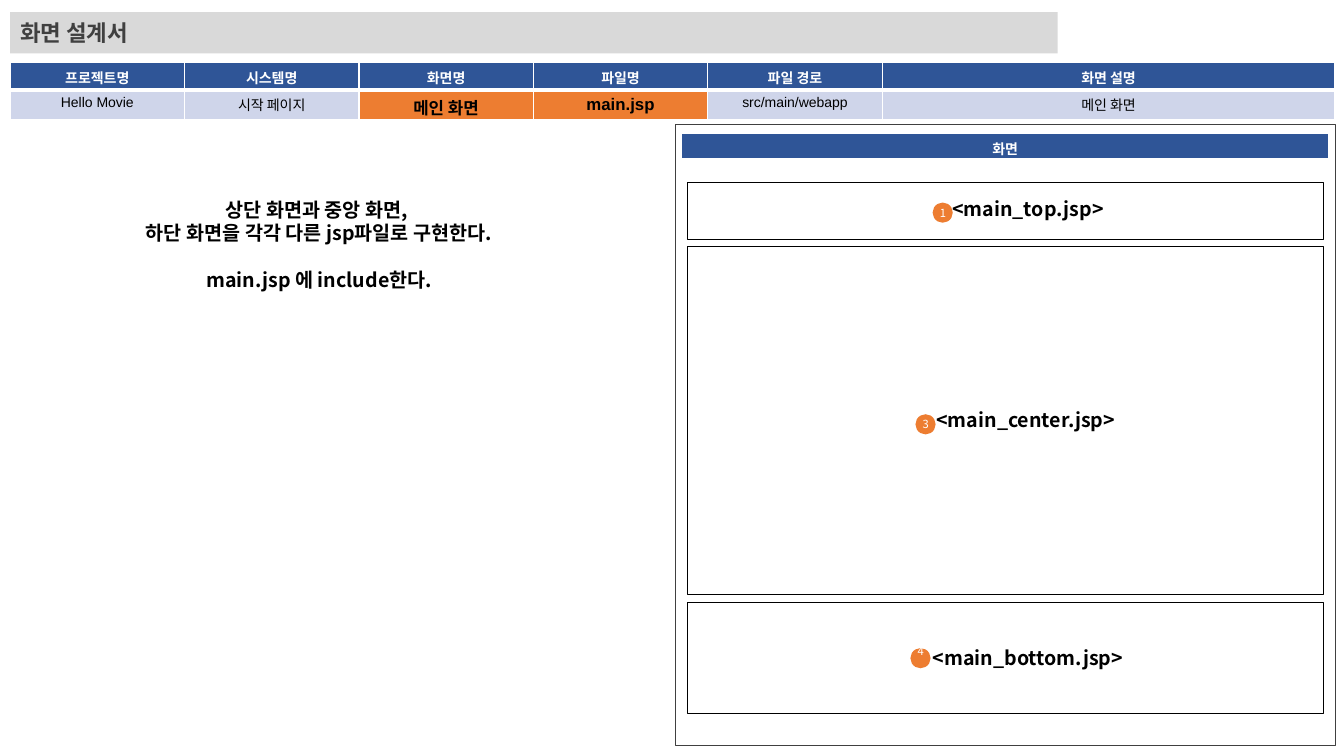
"""Build the screen design sheet for the main page."""
from lxml import etree
from pptx import Presentation
from pptx.dml.color import RGBColor
from pptx.enum.shapes import MSO_SHAPE
from pptx.enum.text import MSO_ANCHOR, PP_ALIGN
from pptx.oxml.ns import qn
from pptx.util import Inches, Pt

RECTANGLE, ROUNDED = MSO_SHAPE.RECTANGLE, MSO_SHAPE.ROUNDED_RECTANGLE
LEFT, CENTER, MIDDLE = PP_ALIGN.LEFT, PP_ALIGN.CENTER, MSO_ANCHOR.MIDDLE
WHITE, BLACK = RGBColor(255, 255, 255), RGBColor(0, 0, 0)
DARK_GRAY, LIGHT_GRAY = RGBColor(0x40, 0x40, 0x40), RGBColor(0xD9, 0xD9, 0xD9)
NAVY, PALE_BLUE = RGBColor(0x2F, 0x55, 0x97), RGBColor(0xCF, 0xD5, 0xEA)
ORANGE = RGBColor(0xED, 0x7D, 0x31)
NOTO, ARIAL = "Noto Sans CJK KR", "Arial"

TITLE = "화면 설계서"
FIELDS = [
    ("프로젝트명", "Hello Movie", 1.73),
    ("시스템명", "시작 페이지", 1.73),
    ("화면명", "메인 화면", 1.73),
    ("파일명", "main.jsp", 1.73),
    ("파일 경로", "src/main/webapp", 1.73),
    ("화면 설명", "메인 화면", 4.49),
]
HIGHLIGHTED = ("화면명", "파일명")
SCREEN_HEADING = "화면"
NOTES = [
    ("상단 화면과 중앙 화면, ", 0),
    ("하단 화면을 각각 다른 jsp파일로 구현한다.", 0),
    ("main.jsp 에 include한다.", 17),
]
PANELS = [
    {"top": 1.81, "height": 0.56, "label": "<main_top.jsp>",
     "label_box": (9.15, 1.9, 2.09, 0.32), "number": "1", "badge": (9.25, 2.01)},
    {"top": 2.44, "height": 3.45, "label": "<main_center.jsp>",
     "label_box": (9.11, 4, 2.13, 0.32), "number": "3", "badge": (9.08, 4.11)},
    {"top": 5.97, "height": 1.11, "label": "<main_bottom.jsp>",
     "label_box": (9.15, 6.36, 2.09, 0.34), "number": "4 ", "badge": (9.03, 6.43)},
]
BADGE_SIZE = 0.2


def write(paragraph, text, size, color, bold=False, font=NOTO, align=CENTER):
    paragraph.alignment = align
    run = paragraph.add_run()
    run.text = text
    run.font.name, run.font.size, run.font.bold = font, Pt(size), bold
    run.font.color.rgb = color
    east_asian = etree.SubElement(run.font._element, qn("a:ea"))
    east_asian.set("typeface", NOTO)


def add_box(slide, box, fill=None, line=None, line_width=0.25, preset=RECTANGLE):
    shape = slide.shapes.add_shape(preset, *map(Inches, box))
    shape.shadow.inherit = False
    if fill is None:
        shape.fill.background()
    else:
        shape.fill.solid()
        shape.fill.fore_color.rgb = fill
    if line is None:
        shape.line.fill.background()
    else:
        shape.line.color.rgb = line
        shape.line.width = Pt(line_width)
    shape.text_frame.vertical_anchor = MIDDLE
    return shape


def add_text(slide, box, lines):
    frame = slide.shapes.add_textbox(*map(Inches, box)).text_frame
    frame.word_wrap = True
    for index, (text, gap) in enumerate(lines):
        paragraph = frame.add_paragraph() if index else frame.paragraphs[0]
        if gap:
            paragraph.space_before = Pt(gap)
        write(paragraph, text, 14, BLACK, True)


def fill_cell(cell, text, fill, size, color, bold, font, bottom_width):
    properties = cell._tc.get_or_add_tcPr()
    for side, width in (("L", 1), ("R", 1), ("T", 1), ("B", bottom_width)):
        border = etree.SubElement(properties, qn(f"a:ln{side}"), w=str(Pt(width)))
        solid = etree.SubElement(border, qn("a:solidFill"))
        etree.SubElement(solid, qn("a:srgbClr"), val=str(WHITE))
    cell.fill.solid()
    cell.fill.fore_color.rgb = fill
    write(cell.text_frame.paragraphs[0], text, size, color, bold, font)


def add_grid(slide, left, top, widths, heights):
    table = slide.shapes.add_table(
        len(heights), len(widths), Inches(left), Inches(top),
        Inches(sum(widths)), Inches(sum(heights))).table
    for column, width in zip(table.columns, widths):
        column.width = Inches(width)
    for row, height in zip(table.rows, heights):
        row.height = Inches(height)
    return table


def add_panels(slide):
    for panel in PANELS:
        add_box(slide, (6.82, panel["top"], 6.3, panel["height"]), WHITE, BLACK)
    for panel in PANELS:
        add_text(slide, panel["label_box"], [(panel["label"], 0)])
        badge = add_box(slide, (*panel["badge"], BADGE_SIZE, BADGE_SIZE),
                        ORANGE, preset=ROUNDED)
        badge.adjustments[0] = 0.5
        write(badge.text_frame.paragraphs[0], panel["number"], 8, WHITE)


def add_tables(slide):
    heading = add_grid(slide, 6.76, 1.32, [6.42], [0.27])
    fill_cell(heading.cell(0, 0), SCREEN_HEADING, NAVY, 10, WHITE, True, NOTO, 3)
    widths = [width for _, _, width in FIELDS]
    summary = add_grid(slide, 0.1, 0.62, widths, [0.27, 0.3])
    for column, (name, value, _) in enumerate(FIELDS):
        strong = name in HIGHLIGHTED
        fill_cell(summary.cell(0, column), name, NAVY, 10, WHITE, True, ARIAL, 3)
        fill_cell(summary.cell(1, column), value, ORANGE if strong else PALE_BLUE,
                  12 if strong else 10, BLACK, strong, ARIAL, 1)


def main():
    presentation = Presentation()
    presentation.slide_width, presentation.slide_height = Inches(13.33), Inches(7.5)
    slide = presentation.slides.add_slide(presentation.slide_layouts[6])
    title = add_box(slide, (0.1, 0.12, 10.39, 0.41), LIGHT_GRAY)
    write(title.text_frame.paragraphs[0], TITLE, 16, DARK_GRAY, True, align=LEFT)
    add_box(slide, (6.7, 1.23, 6.54, 6.17), line=DARK_GRAY, line_width=0.5)
    add_panels(slide)
    add_tables(slide)
    add_text(slide, (0.58, 1.91, 5.17, 1.04), NOTES)
    presentation.save("out.pptx")


if __name__ == "__main__":
    main()
